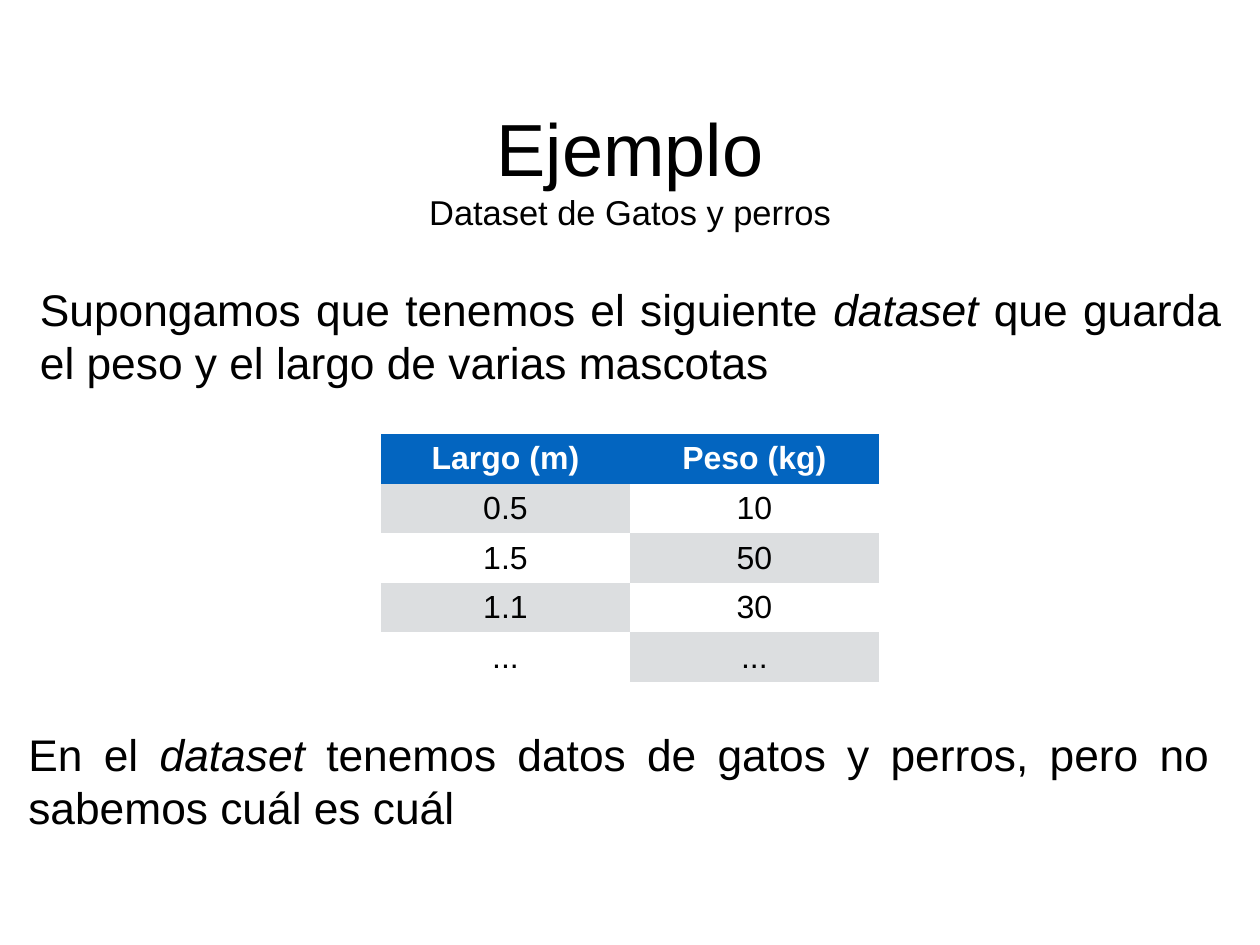
from dataclasses import dataclass

from lxml import etree
from pptx import Presentation
from pptx import util as u
from pptx.dml.color import RGBColor
from pptx.enum import text
from pptx.oxml.ns import qn

PX = u.Inches(1) // 100
INSET = 6


@dataclass(frozen=True)
class Theme:
    font: str = "Arial"
    ink: str = "000000"
    paper: str = "FFFFFF"
    header: str = "0365C0"
    shade: str = "DCDEE0"
    title: int = 60
    subtitle: int = 28
    body: int = 36
    cell: int = 26


THEME = Theme()
PETS = [
    ("Largo (m)", "Peso (kg)"),
    ("0.5", "10"),
    ("1.5", "50"),
    ("1.1", "30"),
    ("...", "..."),
]


def px(count):
    return u.Emu(count * PX)


def style_font(font, size, color=THEME.ink, bold=False, italic=False):
    font.name = THEME.font
    font.size = u.Pt(size)
    font.color.rgb = RGBColor.from_string(color)
    font.bold = bold
    font.italic = italic


def set_insets(target):
    """Give a text frame or a table cell the same inset on every side."""
    for side in ("left", "top", "right", "bottom"):
        setattr(target, f"margin_{side}", px(INSET))


def prepare_frame(frame):
    frame.word_wrap = True
    frame.auto_size = text.MSO_AUTO_SIZE.NONE
    frame.vertical_anchor = text.MSO_ANCHOR.MIDDLE
    set_insets(frame)


def fill_heading(box, left, top, width, height, words, size):
    """Place a heading placeholder and write its centred line."""
    box.left, box.top, box.width, box.height = map(px, (left, top, width, height))
    prepare_frame(box.text_frame)
    box.text_frame.text = words
    para = box.text_frame.paragraphs[0]
    para.alignment = text.PP_ALIGN.CENTER
    para.space_before = u.Pt(0)
    style_font(para.runs[0].font, size)


def add_statement(page, left, top, before, term, after):
    """Add a justified paragraph with one term in italics."""
    box = page.shapes.add_textbox(px(left), px(top), px(1345), px(131))
    prepare_frame(box.text_frame)
    para = box.text_frame.paragraphs[0]
    para.alignment = text.PP_ALIGN.JUSTIFY
    for words in (before, term, after):
        span = para.add_run()
        span.text = words
        style_font(span.font, THEME.body, italic=words == term)


def clear_borders(cell):
    properties = cell._tc.get_or_add_tcPr()
    for edge in ("a:lnL", "a:lnR", "a:lnT", "a:lnB"):
        line = etree.SubElement(properties, qn(edge), w="0")
        etree.SubElement(line, qn("a:noFill"))


def fill_cell(cell, words, fill, color, bold):
    clear_borders(cell)
    cell.fill.solid()
    cell.fill.fore_color.rgb = RGBColor.from_string(fill)
    cell.vertical_anchor = text.MSO_ANCHOR.MIDDLE
    set_insets(cell)
    cell.text = words
    para = cell.text_frame.paragraphs[0]
    para.alignment = text.PP_ALIGN.CENTER
    style_font(para.runs[0].font, THEME.cell, color, bold)


def add_checkered_table(page, left, top, column_width, row_height, rows):
    """Add a table with a solid header and alternately shaded cells."""
    columns = len(rows[0])
    frame = page.shapes.add_table(
        len(rows), columns, px(left), px(top),
        px(column_width * columns), px(row_height * len(rows)),
    )
    table = frame.table
    table.horz_banding = False
    for r, row in enumerate(rows):
        for c, words in enumerate(row):
            is_header = r == 0
            body_fill = THEME.shade if (r + c) % 2 else THEME.paper
            fill_cell(
                table.cell(r, c), words,
                fill=THEME.header if is_header else body_fill,
                color=THEME.paper if is_header else THEME.ink,
                bold=is_header,
            )


def main():
    deck = Presentation()
    deck.slide_width, deck.slide_height = px(1422), px(1067)
    page = deck.slides.add_slide(deck.slide_layouts[0])
    title, subtitle = page.placeholders

    fill_heading(title, 536, 111, 350, 111, "Ejemplo", THEME.title)
    fill_heading(subtitle, 249, 210, 924, 58, "Dataset de Gatos y perros", THEME.subtitle)
    add_statement(
        page, 39, 313, "Supongamos que tenemos el siguiente ", "dataset",
        " que guarda el peso y el largo de varias mascotas",
    )
    add_checkered_table(page, 430, 490, 281, 56, PETS)
    add_statement(
        page, 26, 816, "En el ", "dataset",
        " tenemos datos de gatos y perros, pero no sabemos cuál es cuál",
    )
    deck.save("out.pptx")


if __name__ == "__main__":
    main()
